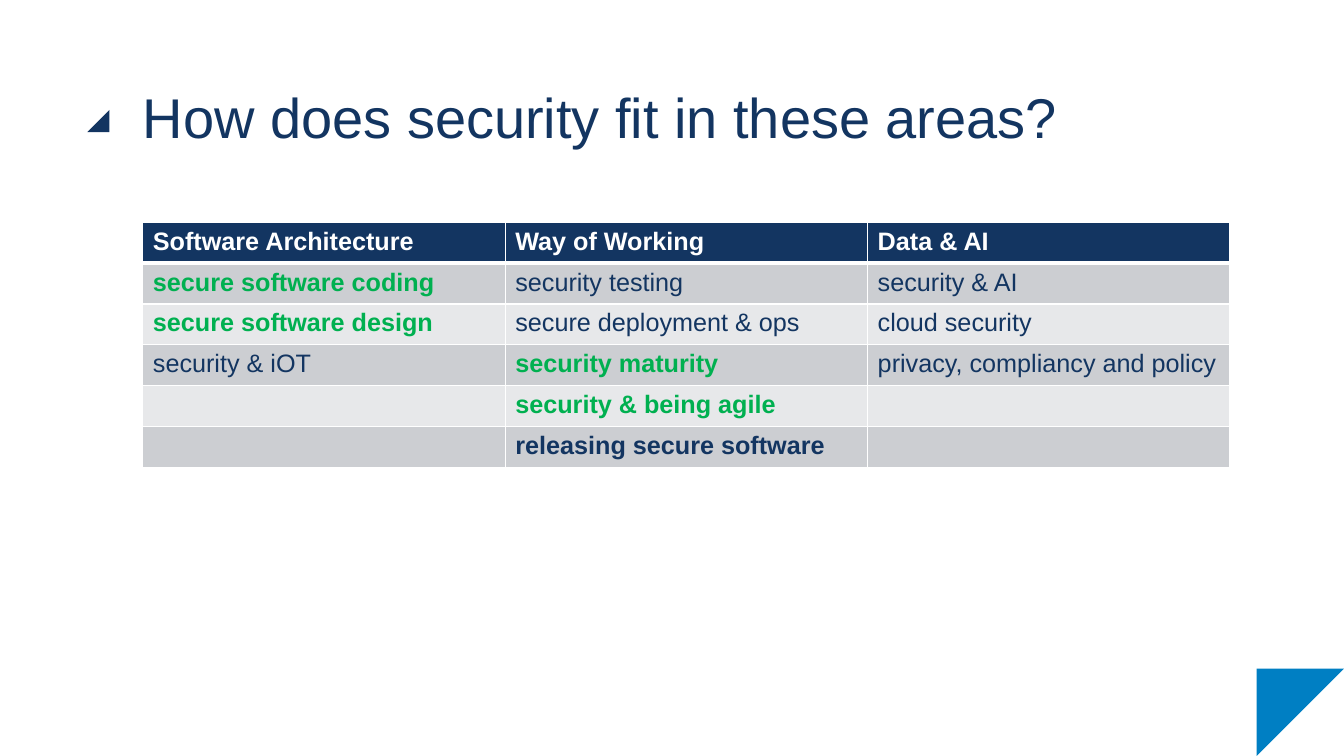
from dataclasses import dataclass

from lxml import etree
from pptx import Presentation
from pptx.dml.color import RGBColor
from pptx.enum import shapes, text
from pptx.oxml import ns
from pptx.util import Cm, Pt


@dataclass(frozen=True)
class Theme:
    navy: str = "133561"
    blue: str = "007FC3"
    green: str = "00B050"
    white: str = "FFFFFF"
    bands: tuple = ("CCCED2", "E7E8EA")
    face: str = "Arial"
    head: int = 40
    body: int = 18


class Deck:
    def __init__(self, theme):
        self.theme = theme
        self.prs = Presentation()
        self.prs.slide_width, self.prs.slide_height = Cm(33.87), Cm(19.05)
        self.slide = self.prs.slides.add_slide(self.prs.slide_layouts[5])

    def style(self, para, size, color, bold=False):
        font = para.font
        font.name, font.size, font.bold = self.theme.face, Pt(size), bold
        font.color.rgb = RGBColor.from_string(color)

    def title(self, words, left, top, width, height):
        box = self.slide.shapes.title
        box.left, box.top, box.width, box.height = map(Cm, (left, top, width, height))
        frame = box.text_frame
        frame.text = words
        frame.margin_left = frame.margin_right = 0
        frame.margin_top = frame.margin_bottom = 0
        frame.vertical_anchor = text.MSO_ANCHOR.TOP
        frame.auto_size = text.MSO_AUTO_SIZE.NONE
        para = frame.paragraphs[0]
        para.alignment = text.PP_ALIGN.LEFT
        para.line_spacing = 1.05
        self.style(para, self.theme.head, self.theme.navy)

    def wedge(self, left, top, side, color, turn):
        kind = shapes.MSO_SHAPE.RIGHT_TRIANGLE
        shape = self.slide.shapes.add_shape(kind, Cm(left), Cm(top), Cm(side), Cm(side))
        shape.rotation = turn
        shape.shadow.inherit = False
        shape.fill.solid()
        shape.fill.fore_color.rgb = RGBColor.from_string(color)
        shape.line.fill.background()

    def edge(self, cell, widths):
        # Borders must come before the fill in the cell properties
        props = cell._tc.get_or_add_tcPr()
        for spot, (side, width) in enumerate(widths.items()):
            line = etree.Element(ns.qn("a:ln" + side), w=str(Pt(width)))
            fill = etree.SubElement(line, ns.qn("a:solidFill"))
            etree.SubElement(fill, ns.qn("a:srgbClr"), val=self.theme.white)
            props.insert(spot, line)

    def cell(self, cell, words, row, color, bold):
        cell.text = words
        self.style(cell.text_frame.paragraphs[0], self.theme.body, color, bold)
        fill = self.theme.bands[(row - 1) % 2] if row else self.theme.navy
        cell.fill.solid()
        cell.fill.fore_color.rgb = RGBColor.from_string(fill)
        self.edge(cell, {"L": 1, "R": 1, "T": 3 if row == 1 else 1,
                         "B": 1 if row else 3})

    def table(self, rows, left, top, width, height, marks):
        frame = self.slide.shapes.add_table(
            len(rows), len(rows[0]), Cm(left), Cm(top), Cm(width), Cm(height))
        for r, row in enumerate(rows):
            for c, words in enumerate(row):
                plain = self.theme.navy if r else self.theme.white
                color, bold = marks.get(words, (plain, r == 0))
                self.cell(frame.table.cell(r, c), words, r, color, bold)


def main():
    theme = Theme()
    deck = Deck(theme)

    # Corner and title markers
    deck.wedge(2.2, 2.77, 0.56, theme.navy, 270)
    deck.wedge(31.67, 16.85, 2.2, theme.blue, 90)

    # Title
    deck.title("How does security fit in these areas?", 3.6, 2, 27.4, 3.6)

    # Topics by area, with the stressed ones marked
    rows = [
        ("Software Architecture", "Way of Working", "Data & AI"),
        ("secure software coding", "security testing", "security & AI"),
        ("secure software design", "secure deployment & ops", "cloud security"),
        ("security & iOT", "security maturity", "privacy, compliancy and policy"),
        ("", "security & being agile", ""),
        ("", "releasing secure software", ""),
    ]
    green = ("secure software coding", "secure software design",
             "security maturity", "security & being agile")
    marks = dict.fromkeys(green, (theme.green, True))
    marks["releasing secure software"] = (theme.navy, True)
    deck.table(rows, 3.6, 5.6, 27.4, 6.18, marks)

    deck.prs.save("out.pptx")


if __name__ == "__main__":
    main()
